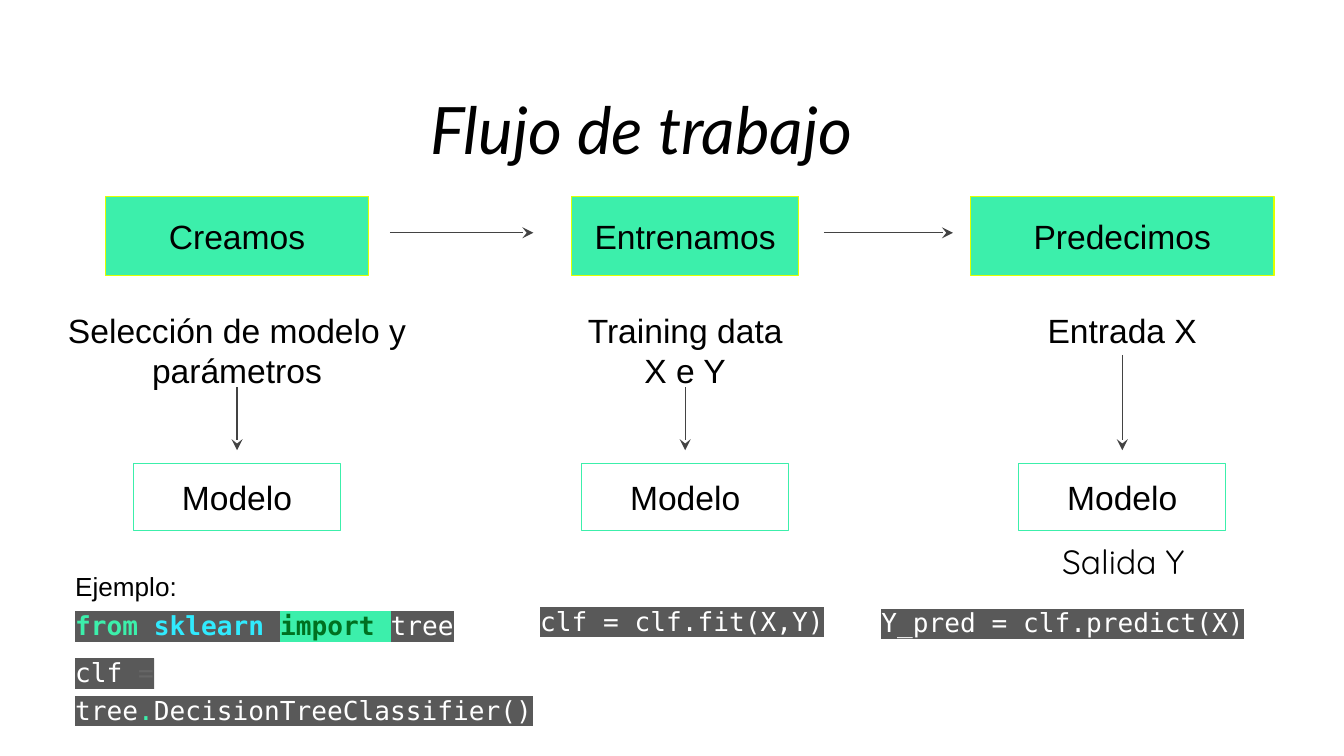
import pptx
import pptx.dml.color
import pptx.enum.shapes
import pptx.enum.text
import pptx.oxml.ns
import pptx.util
from dataclasses import dataclass
from lxml import etree

Cm, Pt = pptx.util.Cm, pptx.util.Pt
ALIGN, ANCHOR = pptx.enum.text.PP_ALIGN, pptx.enum.text.MSO_ANCHOR
qn = pptx.oxml.ns.qn


@dataclass(frozen=True)
class Theme:
    black: str = "000000"
    white: str = "FFFFFF"
    green: str = "3CEFAB"
    yellow: str = "E0FF00"
    arrow: str = "434343"
    code_fill: str = "595959"
    space: str = "222222"
    operator: str = "666666"
    module: str = "31EAFE"
    keyword: str = "007020"
    body_font: str = "Arial"
    title_font: str = "Lato"
    output_font: str = "Quicksand"
    code_font: str = "DejaVu Sans Mono"
    title_size: int = 35
    body_size: int = 18
    code_size: int = 14


THEME = Theme()
BODY = {"name": THEME.body_font, "size": Pt(THEME.body_size)}
TITLE = {"name": THEME.title_font, "size": Pt(THEME.title_size), "italic": True}
OUTPUT = {**BODY, "name": THEME.output_font}
LABEL = {"name": THEME.body_font, "size": Pt(THEME.code_size)}
CODE = {"name": THEME.code_font, "size": Pt(THEME.code_size)}

# Each step: centre, step width, input width, arrow start, input lines
STEPS = [
    ("Creamos", 4.48, 4.98, 7.59, 7.32, ["Selección de modelo y parámetros"]),
    ("Entrenamos", 12.95, 4.29, 5.74, 7.32, ["Training data", "X e Y"]),
    ("Predecimos", 21.21, 5.74, 5.74, 6.71, ["Entrada X"]),
]
STEP_ARROWS = [(7.37, 10.08), (15.57, 18.01)]


def rgb(value):
    return pptx.dml.color.RGBColor.from_string(value)


def apply(target, values):
    for name, value in values.items():
        setattr(target, name, value)


def add_span(para, text, font, color=THEME.black, highlight=None, bold=False):
    span = para.add_run()
    span.text = text
    apply(span.font, {**font, "bold": bold})
    span.font.color.rgb = rgb(color)
    if highlight:
        mark = etree.Element(qn("a:highlight"))
        etree.SubElement(mark, qn("a:srgbClr"), val=highlight)
        span.font.fill._xPr.find(qn("a:solidFill")).addnext(mark)


def prepare_frame(shape, anchor=ANCHOR.TOP):
    inset = Cm(0.25)
    apply(shape.text_frame, {
        "word_wrap": True, "vertical_anchor": anchor,
        "margin_left": inset, "margin_right": inset,
        "margin_top": inset, "margin_bottom": inset,
    })
    return shape.text_frame


def next_para(frame, index):
    return frame.add_paragraph() if index else frame.paragraphs[0]


def write_lines(frame, lines, font, spacing=1.0):
    for index, line in enumerate(lines):
        para = next_para(frame, index)
        apply(para, {"alignment": ALIGN.CENTER, "line_spacing": spacing})
        add_span(para, line, font)


def add_text(slide, box, lines, font, spacing=1.0):
    shape = slide.shapes.add_textbox(*map(Cm, box))
    write_lines(prepare_frame(shape), lines, font, spacing)


def add_box(slide, box, text, line, fill=None):
    shape = slide.shapes.add_shape(
        pptx.enum.shapes.MSO_SHAPE.RECTANGLE, *map(Cm, box))
    shape.shadow.inherit = False
    if fill:
        shape.fill.solid()
        shape.fill.fore_color.rgb = rgb(fill)
    else:
        shape.fill.background()
    shape.line.color.rgb = rgb(line)
    shape.line.width = Pt(0.75)
    write_lines(prepare_frame(shape, ANCHOR.MIDDLE), [text], BODY)


def add_arrow(slide, start, end):
    arrow = slide.shapes.add_connector(
        pptx.enum.shapes.MSO_CONNECTOR.STRAIGHT, *map(Cm, (*start, *end)))
    arrow.line.color.rgb = rgb(THEME.arrow)
    arrow.line.width = Pt(0.75)
    etree.SubElement(arrow.line._get_or_add_ln(), qn("a:tailEnd"), type="stealth")
    etree.SubElement(arrow._element.spPr, qn("a:effectLst"))


def add_code(slide, box, lines):
    """Each line is (space before, spans); a span is the arguments of add_span."""
    frame = prepare_frame(slide.shapes.add_textbox(*map(Cm, box)))
    for index, (before, spans) in enumerate(lines):
        para = next_para(frame, index)
        apply(para, {"line_spacing": 1.2, "space_before": Pt(before)})
        para._p.get_or_add_pPr().set("marL", str(Cm(0.28)))
        for span in spans:
            add_span(para, *span)


def code(text, color=THEME.white, bold=False, highlight=THEME.code_fill):
    return text, CODE, color, highlight, bold


def add_step(slide, box, step_width, input_width, arrow_top, name, inputs):
    """One column: step, its input, an arrow and the model."""
    left, top, width, height = box
    center = left + width / 2

    def centered(y, w, h):
        return center - w / 2, y, w, h

    add_box(slide, centered(top, step_width, 1.5), name, THEME.yellow, THEME.green)
    add_text(slide, centered(top + 1.9, input_width, 1.96), inputs, BODY)
    model_height = 1.27
    model_top = top + height - model_height
    add_arrow(slide, (center, arrow_top), (center, model_top - 0.25))
    add_box(slide, centered(model_top, 3.91, model_height), "Modelo", THEME.green)


def add_examples(slide, box):
    """Code samples under the three columns."""
    left, top, width, height = box
    space = code(" ", THEME.space)
    add_code(slide, (left, top, 10.24, height), [
        (1, [("Ejemplo:", LABEL, THEME.black, THEME.white)]),
        (1, [code("from", THEME.green, True), space,
             code("sklearn", THEME.module, True), space,
             code("import", THEME.keyword, True, THEME.green),
             code(" ", THEME.space, True, THEME.green), code("tree")]),
        (5, [code("clf"), space, code("=", THEME.operator), space, code("tree"),
             code(".", THEME.green), code("DecisionTreeClassifier()")]),
    ])
    add_code(slide, (left + 8.79, top + 0.66, 7.37, height),
             [(1, [code("clf = clf.fit(X,Y)")])])
    add_code(slide, (left + width - 9.12, top + 0.69, 9.12, height),
             [(1, [code("Y_pred = clf.predict(X)")])])


def main():
    deck = pptx.Presentation()
    apply(deck, {"slide_width": Cm(25.4), "slide_height": Cm(14.29)})
    slide = deck.slides.add_slide(deck.slide_layouts[6])

    # Title
    add_text(slide, (1.37, 1.22, 21.79, 1.93), ["Flujo de trabajo "], TITLE, 1.15)

    # Workflow columns and the arrows between them
    for name, center, step_width, input_width, arrow_top, inputs in STEPS:
        box = (center - input_width / 2, 3.71, input_width, 6.32)
        add_step(slide, box, step_width, input_width, arrow_top, name, inputs)
    for start, end in STEP_ARROWS:
        add_arrow(slide, (start, 4.4), (end, 4.4))

    # Output and code samples
    add_text(slide, (18.36, 9.98, 5.74, 1.09), ["Salida Y"], OUTPUT)
    add_examples(slide, (0.89, 10.41, 24.36, 1.75))

    deck.save("out.pptx")


if __name__ == "__main__":
    main()
